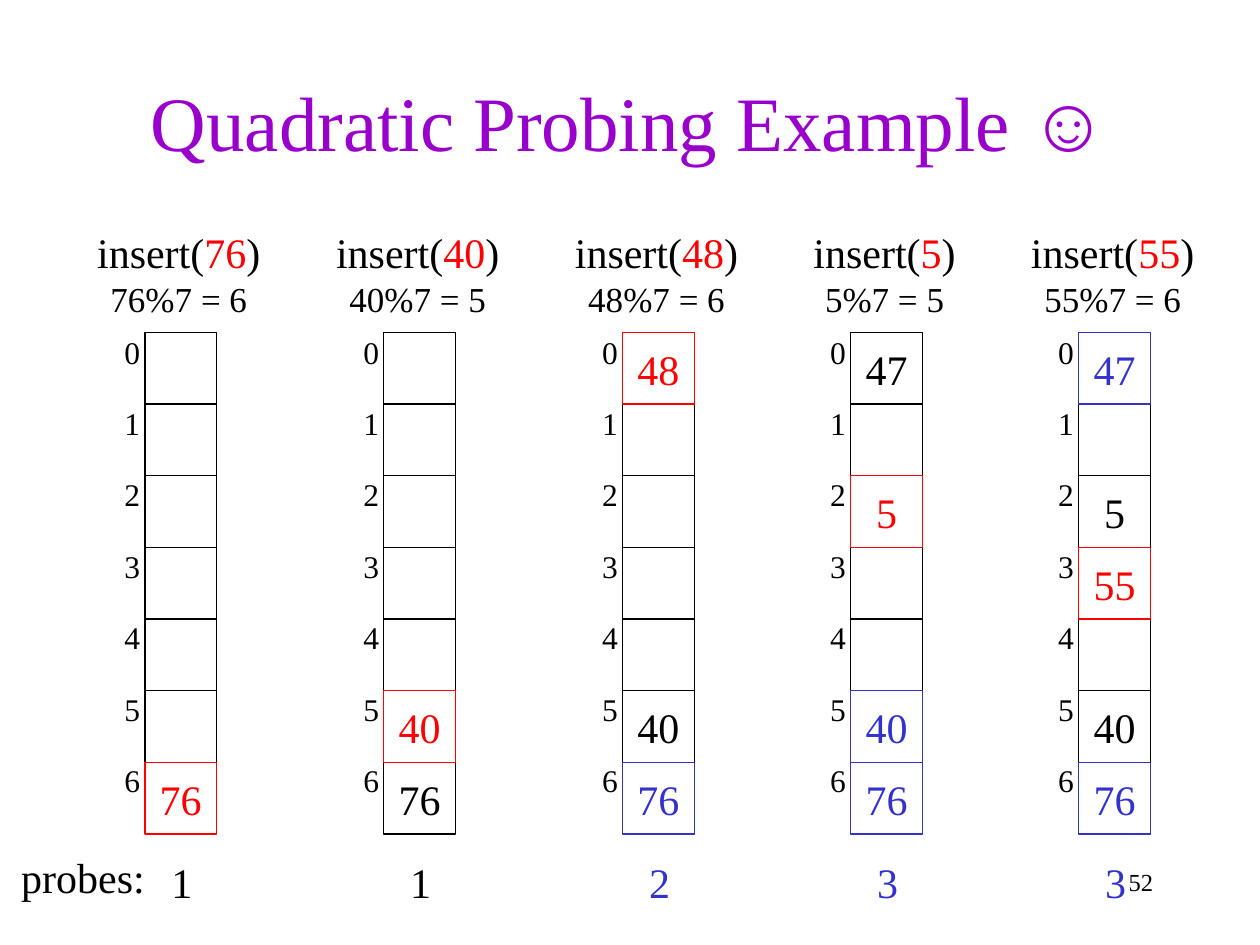
from itertools import accumulate
from pptx import Presentation
from pptx import util as u
from pptx.dml.color import RGBColor
from pptx.enum import shapes, text

Pt = u.Pt
FONT = "Times New Roman"
BLACK, RED, BLUE, PURPLE = "000000", "FF0000", "3333CC", "9900CC"
PAINT_ORDER = [BLACK, BLUE, RED]  # coloured borders lie over black ones
SLOTS = 7
CELL = 40.95
COLUMN_TOP, COLUMN_WIDTH = 126, 108
COLUMN_GAPS = [136.5, 136.5, 130.3, 130.3]

# inserted key, {slot: (value, colour)}, probe count, probe colour
STEPS = [
    (76, {6: (76, RED)}, 1, BLACK),
    (40, {5: (40, RED), 6: (76, BLACK)}, 1, BLACK),
    (48, {0: (48, RED), 5: (40, BLACK), 6: (76, BLUE)}, 2, BLUE),
    (5, {0: (47, BLACK), 2: (5, RED), 5: (40, BLUE), 6: (76, BLUE)}, 3, BLUE),
    (55, {0: (47, BLUE), 2: (5, BLACK), 3: (55, RED), 5: (40, BLACK),
          6: (76, BLUE)}, 3, BLUE),
]


def rgb(value):
    return RGBColor.from_string(value)


def style(para, size, colour=BLACK, align=text.PP_ALIGN.LEFT):
    para.alignment = align
    para.font.name = FONT
    para.font.size = Pt(size)
    para.font.color.rgb = rgb(colour)


def add_label(parent, left, top, width, height, words, size, colour=BLACK,
              align=text.PP_ALIGN.LEFT):
    box = parent.add_textbox(Pt(left), Pt(top), Pt(width), Pt(height))
    box.text_frame.word_wrap = False
    para = box.text_frame.paragraphs[0]
    para.text = words
    style(para, size, colour, align)
    return box


def add_heading(parent, left, top, width, key):
    box = add_label(parent, left, top, width, 60, "", 24,
                    align=text.PP_ALIGN.CENTER)
    para = box.text_frame.paragraphs[0]
    for words, colour in (("insert(", BLACK), (str(key), RED), (")", BLACK)):
        span = para.add_run()
        span.text = words
        span.font.name = FONT
        span.font.size = Pt(24)
        span.font.color.rgb = rgb(colour)
    para = box.text_frame.add_paragraph()
    para.text = f"{key}%{SLOTS} = {key % SLOTS}"
    style(para, 20, align=text.PP_ALIGN.CENTER)


def add_cell(parent, left, top, value, colour):
    cell = parent.add_shape(shapes.MSO_SHAPE.RECTANGLE,
                            Pt(left), Pt(top), Pt(CELL), Pt(CELL))
    cell.shadow.inherit = False
    cell.fill.background()
    cell.line.color.rgb = rgb(colour)
    cell.line.width = Pt(0.75)
    if value is not None:
        frame = cell.text_frame
        frame.word_wrap = False
        frame.vertical_anchor = text.MSO_ANCHOR.MIDDLE
        frame.text = str(value)
        style(frame.paragraphs[0], 24, colour, text.PP_ALIGN.CENTER)


def add_column(page, left, top, width, step):
    key, filled, probes, probe_colour = step
    parent = page.shapes.add_group_shape().shapes
    add_heading(parent, left, top, width, key)

    # Hash table slots
    slots = [(slot, *filled.get(slot, (None, BLACK))) for slot in range(SLOTS)]
    for slot, value, colour in sorted(
            slots, key=lambda item: PAINT_ORDER.index(item[2])):
        add_cell(parent, left + 34.6, top + 64 + slot * CELL, value, colour)

    # Slot numbers
    for slot in range(SLOTS):
        add_label(parent, left + 15.8, top + 60.5 + slot * 40.8, 24, 29,
                  str(slot), 18)

    # Probe count
    add_label(parent, left + 42.6, top + 360, 27, 36, str(probes), 24,
              probe_colour)


def add_title(page, left, top, width, height):
    title = page.shapes.title
    title.left, title.top = Pt(left), Pt(top)
    title.width, title.height = Pt(width), Pt(height)
    frame = title.text_frame
    frame.text = "Quadratic Probing Example ☺"
    frame.auto_size = text.MSO_AUTO_SIZE.NONE
    frame.vertical_anchor = text.MSO_ANCHOR.MIDDLE
    style(frame.paragraphs[0], 44, PURPLE, text.PP_ALIGN.CENTER)


def main():
    deck = Presentation()
    deck.slide_width, deck.slide_height = Pt(720), Pt(540)
    page = deck.slides.add_slide(deck.slide_layouts[5])
    add_title(page, 54, 24, 612, 90)

    add_label(page.shapes, 5, 483, 85, 36, "probes:", 24)
    lefts = accumulate(COLUMN_GAPS, initial=48.2)
    for left, step in zip(lefts, STEPS):
        add_column(page, left, COLUMN_TOP, COLUMN_WIDTH, step)

    # Page number
    number = add_label(page.shapes, 516, 492, 150, 36, "52", 14,
                       align=text.PP_ALIGN.RIGHT)
    number.text_frame.word_wrap = True

    deck.save("out.pptx")


if __name__ == "__main__":
    main()
